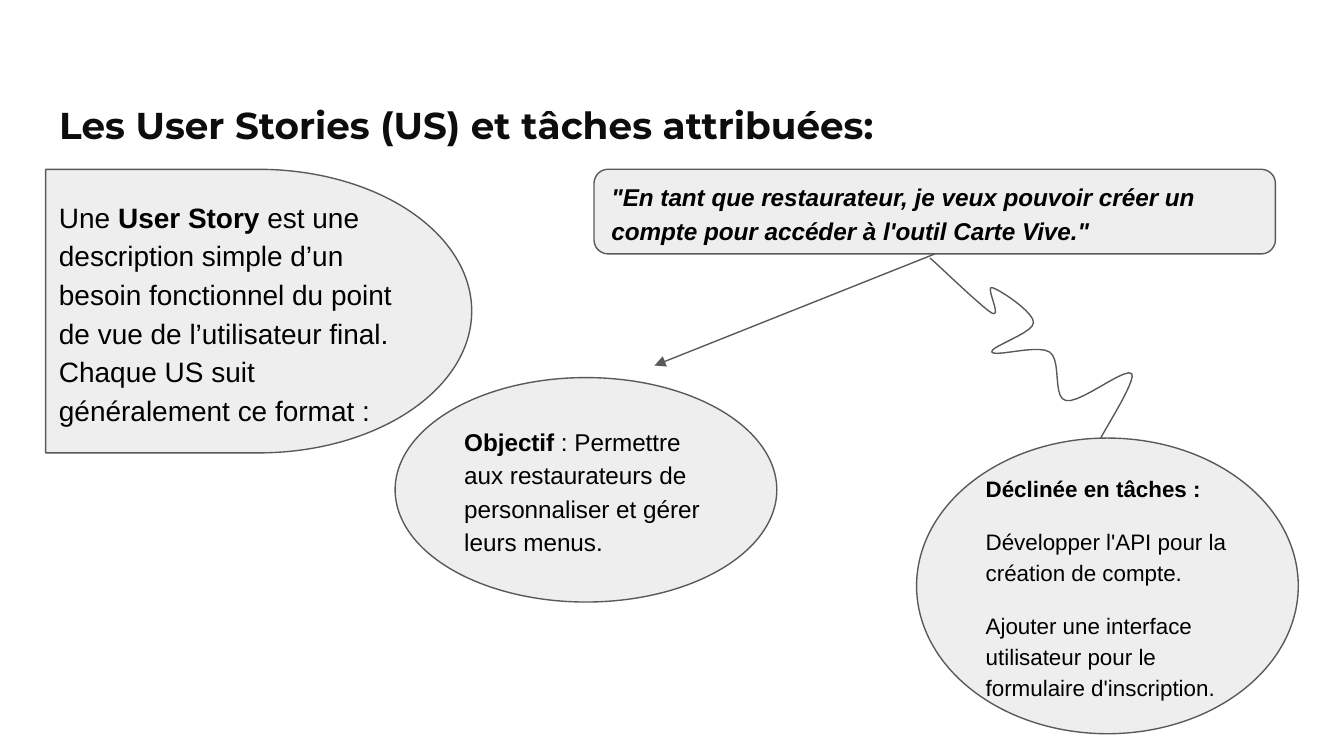
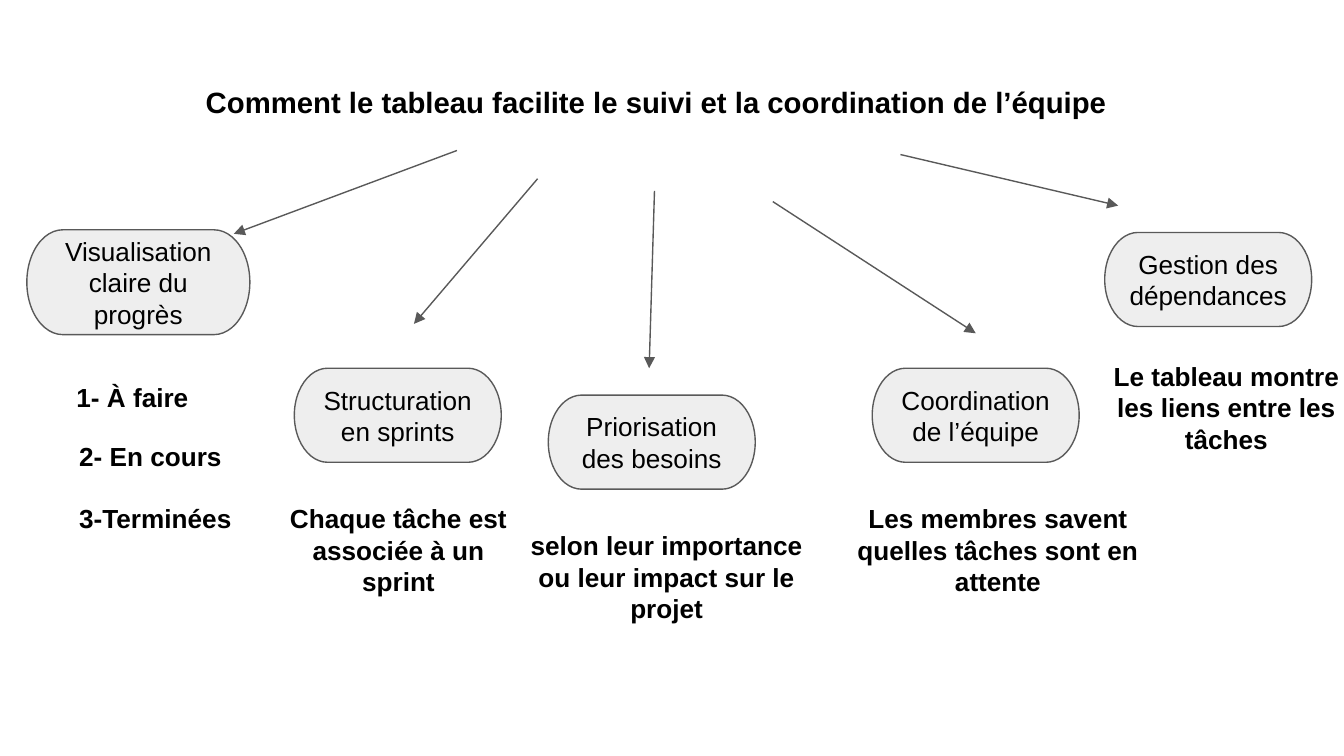
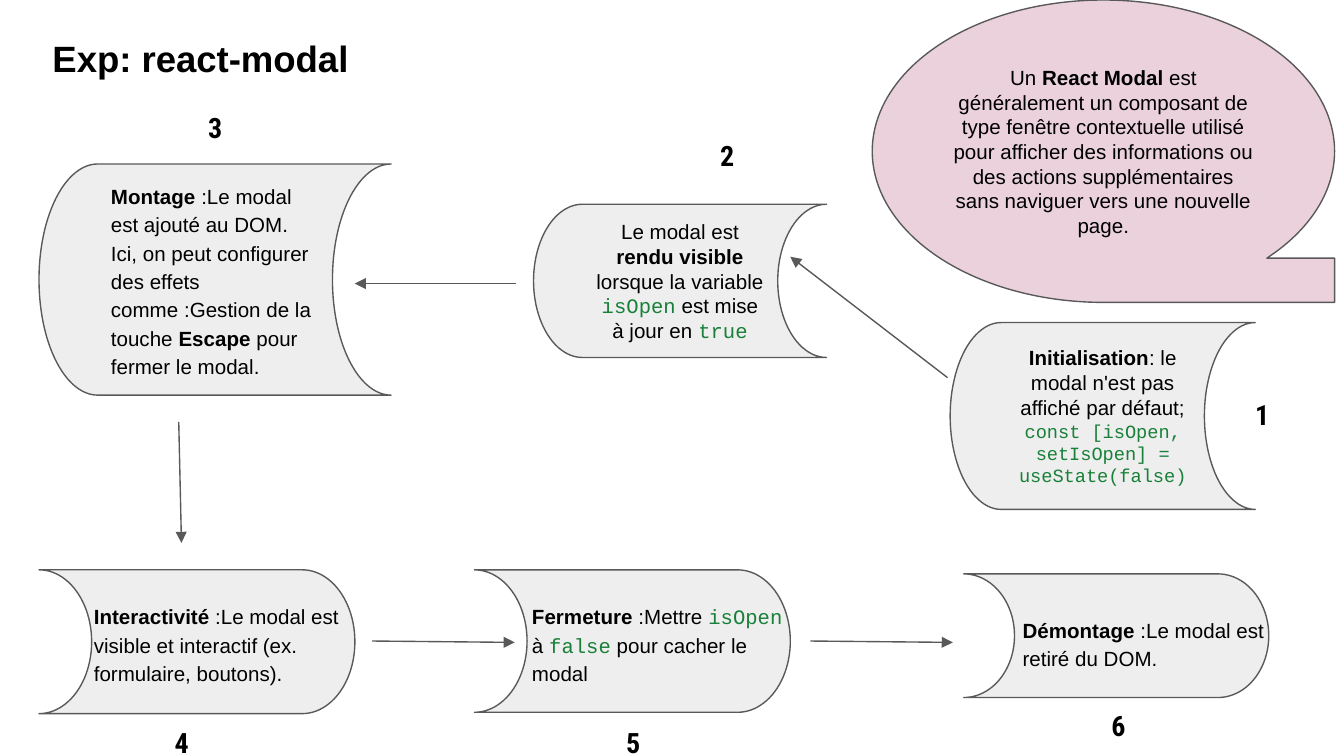
"""Build three slides on user stories, board tracking and a modal's life cycle."""
from lxml.etree import SubElement
from pptx import Presentation
from pptx.dml.color import RGBColor
from pptx.enum.shapes import MSO_CONNECTOR, MSO_SHAPE
from pptx.enum.text import MSO_ANCHOR, MSO_AUTO_SIZE, PP_ALIGN
from pptx.oxml.ns import qn
from pptx.util import Inches, Pt

CELL = Inches(0.1)
COLS, ROWS = 100, 56.25
GREY, PINK, EDGE = "EEEEEE", "EAD1DC", "595959"
INK, DARK, GREEN = "000000", "0D0D0D", "188038"
SANS, MONO = "Arial", "Courier New"
LEFT, MID = PP_ALIGN.LEFT, PP_ALIGN.CENTER
DELAY = MSO_SHAPE.FLOWCHART_DELAY
ROUND = MSO_SHAPE.FLOWCHART_ALTERNATE_PROCESS
PILL = MSO_SHAPE.FLOWCHART_TERMINATOR
STORE = MSO_SHAPE.FLOWCHART_STORED_DATA
TAPE = MSO_SHAPE.FLOWCHART_SEQUENTIAL_ACCESS_STORAGE
OVAL = MSO_SHAPE.OVAL

# Words between asterisks are bold and words between backticks are code.
STORY = ["Une *User Story* est une description simple d’un besoin fonctionnel du point "
         "de vue de l’utilisateur final. Chaque US suit généralement ce format :"]
QUOTE = ["*\"En tant que restaurateur, je veux pouvoir créer un compte pour accéder "
         "à l'outil Carte Vive.\"*"]
GOAL = ["*Objectif *: Permettre aux restaurateurs de personnaliser et gérer leurs menus."]
TASKS = ["*Déclinée en tâches :*",
         "Développer l'API pour la création de compte.",
         "Ajouter une interface utilisateur pour le formulaire d'inscription."]
WAVE = [(69.2, 19.2),
        (70, 19.9), (73.1, 22.9), (73.8, 23.3), (74.6, 23.7), (73.3, 21.3), (73.8, 21.4),
        (74.3, 21.5), (76.9, 23.2), (76.9, 24), (76.9, 24.8), (73.6, 25.8), (73.8, 26.2),
        (74, 26.6), (77.2, 25.6), (78.1, 26.2), (79, 26.8), (78.3, 29.6), (79.3, 29.8),
        (80.3, 30.1), (83.7, 27.3), (84.2, 27.8), (84.6, 28.2), (82.3, 31.8), (81.9, 32.6)]

PILLS = [((2, 17.1, 16.6, 7.8), "Visualisation claire du progrès"),
         ((21.9, 27.4, 15.4, 7), "Structuration en sprints"),
         ((40.8, 29.4, 15.4, 7), "Priorisation des besoins"),
         ((64.9, 27.4, 15.4, 7), "Coordination de l’équipe"),
         ((82.2, 17.3, 15.4, 7), "Gestion des dépendances")]
STEPS = [((4.7, 27.4, 10.8, 4.4), "1- À faire"),
         ((4.9, 31.8, 13.5, 4.4), "2- En cours"),
         ((4.9, 36.4, 14.2, 4.4), "3-Terminées")]
NOTES = [((19.6, 36.4, 20.1, 9.1), "Chaque tâche est associée à un sprint"),
         ((38, 38.4, 23.2, 9.1), "selon leur importance ou leur impact sur le projet"),
         ((61.2, 36.4, 26.1, 9.1), "Les membres savent quelles tâches sont en attente"),
         ((80.3, 25.8, 21.9, 9.1), "Le tableau montre les liens entre les tâches")]
RAYS = [(34, 11.2, 17.4, 17.4), (67, 11.5, 83.2, 15.3), (40, 13.3, 30.8, 24.1),
        (57.5, 15, 72.6, 24.8), (48.7, 14.2, 48.3, 27.4)]

MODAL = ["Un *React Modal* est généralement un composant de type fenêtre contextuelle "
         "utilisé pour afficher des informations ou des actions supplémentaires sans "
         "naviguer vers une nouvelle page."]
START = ["*Initialisation*: le modal n'est pas affiché par défaut; "
         "`const [isOpen, setIsOpen] = useState(false)`"]
SHOW = ["Le modal est *rendu visible* lorsque la variable `isOpen` est mise à jour en `true`"]
MOUNT = ["*Montage* :Le modal est ajouté au DOM. Ici, on peut configurer des effets "
         "comme :Gestion de la touche *Escape* pour fermer le modal."]
ENDS = [((2.9, 42.4, 23.5, 10.7), (6, 43.7, 21.8, 8.1),
         "*Interactivité* :Le modal est visible et interactif (ex. formulaire, boutons)."),
        ((35.3, 42.4, 23.5, 10.6), (38.6, 43.7, 21.8, 8.1),
         "*Fermeture* :Mettre `isOpen` à `false` pour cacher le modal"),
        ((71.7, 42.7, 22.7, 9.2), (75.1, 44.7, 20.1, 6),
         "*Démontage* :Le modal est retiré du DOM.")]
FLOW = [(70.5, 28.1, 58.8, 19.1), (38.4, 21.1, 26.4, 21.1), (13.3, 31.4, 13.5, 40.4),
        (27.7, 47.7, 38.3, 47.8), (60.3, 47.7, 70.9, 47.8)]
MARKS = [(92.4, 28.6), (52.6, 9.3), (14.5, 7.2), (12, 53), (45.6, 53), (81.7, 51.7)]


def tone(code):
    return RGBColor.from_string(code)


def grid(*nums):
    return [round(num * CELL) for num in nums]


def trim(shape):
    shape.shadow.inherit = False
    shape.line.color.rgb = tone(EDGE)
    shape.line.width = Pt(0.75)


def write(frame, paras, size, font=SANS, align=LEFT, lead=1.0, gap=0,
          color=INK, slant=False, mono=None):
    frame.word_wrap = True
    frame.margin_left = frame.margin_right = CELL
    frame.margin_top = frame.margin_bottom = CELL
    for num, text in enumerate(paras):
        para = frame.add_paragraph() if num else frame.paragraphs[0]
        para.alignment, para.line_spacing = align, lead
        if num:
            para.space_before = Pt(gap)
        for odd, part in enumerate(text.split("*")):
            for code, word in enumerate(part.split("`")):
                if not word:
                    continue
                run = para.add_run()
                run.text = word
                run.font.name = MONO if code % 2 else font
                run.font.size = Pt(mono if mono and code % 2 else size)
                run.font.bold = odd % 2 == 1
                run.font.italic = slant
                run.font.color.rgb = tone(GREEN if code % 2 else color)


def head(deck, place, text, size, **style):
    slide = deck.slides.add_slide(deck.slide_layouts[5])
    title = slide.shapes.title
    title.left, title.top, title.width, title.height = grid(*place)
    frame = title.text_frame
    write(frame, [text], size, **style)
    frame.vertical_anchor = MSO_ANCHOR.TOP
    frame.auto_size = MSO_AUTO_SIZE.NONE
    return slide


def block(slide, kind, place, paras=(), size=11, fill=GREY, **style):
    shape = slide.shapes.add_shape(kind, *grid(*place))
    trim(shape)
    shape.fill.solid()
    shape.fill.fore_color.rgb = tone(fill)
    write(shape.text_frame, paras, size, **style)
    shape.text_frame.vertical_anchor = MSO_ANCHOR.MIDDLE
    return shape


def label(slide, place, text, size, **style):
    frame = slide.shapes.add_textbox(*grid(*place)).text_frame
    write(frame, [text], size, **style)
    frame.auto_size = MSO_AUTO_SIZE.SHAPE_TO_FIT_TEXT


def arrow(slide, ends):
    line = slide.shapes.add_connector(MSO_CONNECTOR.STRAIGHT, *grid(*ends))
    line.line.color.rgb = tone(EDGE)
    line.line.width = Pt(0.75)
    SubElement(line.line._get_or_add_ln(), qn("a:tailEnd"), type="triangle")
    SubElement(line._element.spPr, qn("a:effectLst"))
    return line


def curve(slide, knots, steps=10):
    dots = []
    for at in range(0, len(knots) - 1, 3):
        for step in range(1, steps + 1):
            t = step / steps
            parts = ((1 - t) ** 3, 3 * t * (1 - t) ** 2, 3 * t * t * (1 - t), t ** 3)
            dots.append(grid(*(sum(part * knot[axis] for part, knot in
                                   zip(parts, knots[at:at + 4])) for axis in (0, 1))))
    path = slide.shapes.build_freeform(*grid(*knots[0]))
    path.add_line_segments(dots, close=False)
    shape = path.convert_to_shape()
    shape.fill.background()
    trim(shape)


def stories(deck):
    slide = head(deck, (3.4, 4.9, 93.2, 6.3),
                 "*Les User Stories (US) et tâches attribuées:*", 20,
                 font="Montserrat", color=DARK, lead=1.5)
    block(slide, DELAY, (3.4, 12.6, 31.7, 21.1), STORY, 15, lead=1.15)
    quote = block(slide, ROUND, (44.2, 12.6, 50.7, 6.3), QUOTE, 13, lead=1.15, slant=True)
    arrow(slide, (69.6, 18.9, 48.7, 27.2)).begin_connect(quote, 2)
    block(slide, OVAL, (29.4, 28.1, 28.4, 16.7), GOAL, 13, lead=1.15)
    curve(slide, WAVE)
    block(slide, OVAL, (68.2, 32.6, 28.4, 22), TASKS, 12, lead=1.15, gap=12)


def board(deck):
    slide = head(deck, (3.4, 4.9, 93.2, 6.3),
                 "*Comment le tableau facilite le suivi et la coordination de l’équipe*",
                 15.7, lead=1.15)
    slide.shapes.title.text_frame.margin_left = round(11.9 * CELL)
    for ends in RAYS:
        arrow(slide, ends)
    for place, text in PILLS:
        block(slide, PILL, place, [text], 14, align=MID)
    for rows, align in ((STEPS, LEFT), (NOTES, MID)):
        for place, text in rows:
            label(slide, place, f"*{text}*", 14, align=align)


def modal(deck):
    slide = head(deck, (2.9, 1.7, 93.2, 6.3), "*Exp: react-modal*", 19.8)
    slide.shapes.title.text_frame.paragraphs[0].runs[0].font.size = Pt(19.6)
    block(slide, TAPE, (64.9, 0, 34.4, 22.5), MODAL, fill=PINK, align=MID)
    block(slide, STORE, (70.7, 24, 22.7, 13.9), START, align=MID, mono=10)
    block(slide, STORE, (39.7, 15.2, 21.8, 11.4), SHOW, align=MID)
    block(slide, STORE, (2.9, 12.2, 26.2, 17.2), MOUNT, lead=1.15)
    for ends in FLOW:
        arrow(slide, ends)
    for place, spot, text in ENDS:
        block(slide, STORE, place).rotation = 180
        label(slide, spot, text, 11, lead=1.15)
    for num, (left, top) in enumerate(MARKS, 1):
        label(slide, (left, top, 2.9, 4.5), f"*{num}*", 15, font="Roboto Condensed")


def main():
    deck = Presentation()
    deck.slide_width, deck.slide_height = grid(COLS, ROWS)
    for build in (stories, board, modal):
        build(deck)
    deck.save("out.pptx")


if __name__ == "__main__":
    main()
